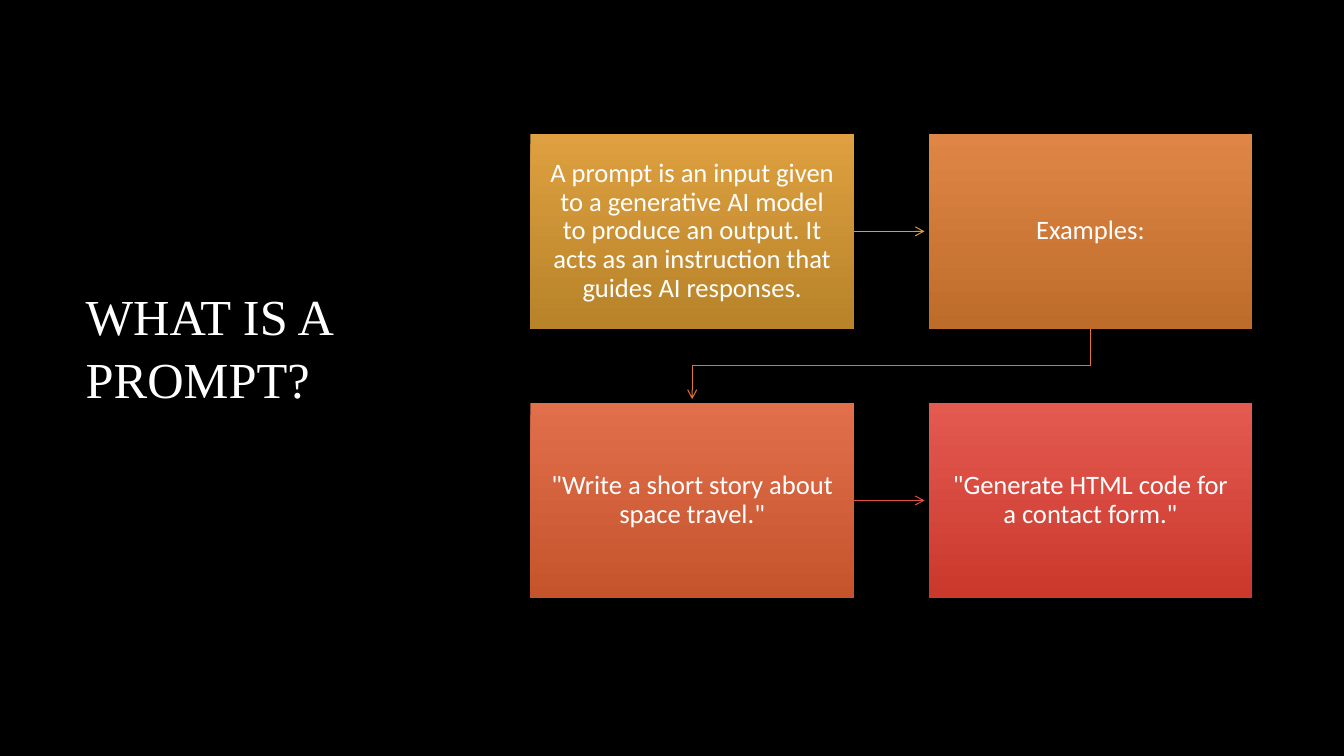
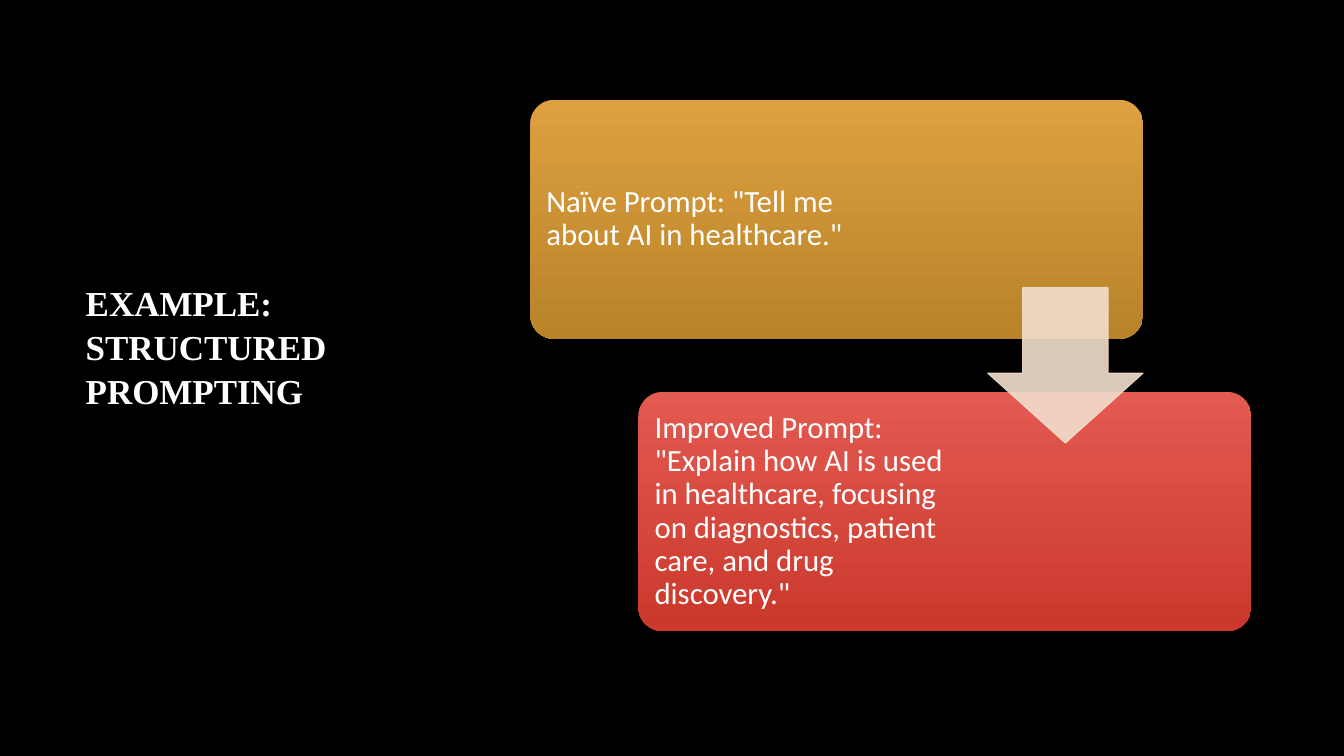
from dataclasses import dataclass

from lxml import etree
from pptx import Presentation
from pptx.dml.color import RGBColor
from pptx.enum.shapes import MSO_CONNECTOR as Connector, MSO_SHAPE as Preset
from pptx.enum.text import MSO_ANCHOR as Anchor, MSO_AUTO_SIZE as AutoSize, PP_ALIGN as Align
from pptx.oxml.ns import qn
from pptx.util import Inches, Pt

BLACK = RGBColor(0x00, 0x00, 0x00)
WHITE = RGBColor(0xFF, 0xFF, 0xFF)
SAND = RGBColor(0xF2, 0xDF, 0xCE)
GOLD = (RGBColor(0xDE, 0xA0, 0x40), RGBColor(0xB8, 0x83, 0x29))
ORANGE = (RGBColor(0xDF, 0x86, 0x46), RGBColor(0xBE, 0x6C, 0x2A))
RUST = (RGBColor(0xE1, 0x6F, 0x4B), RGBColor(0xC5, 0x53, 0x2B))
RED = (RGBColor(0xE3, 0x5A, 0x51), RGBColor(0xCB, 0x38, 0x2C))
GOLD_LINE = RGBColor(0xDD, 0x9D, 0x31)
ORANGE_LINE = RGBColor(0xE0, 0x75, 0x3C)
RED_LINE = RGBColor(0xE2, 0x52, 0x47)

TITLE_FONT, BODY_FONT = "Times New Roman", "Calibri"
TITLE_ONLY = 5
LINE_WIDTH = Pt(0.75)
ARROW_CLEARANCE = 0.04


@dataclass
class Box:
    """A region in inches."""
    left: float
    top: float
    width: float
    height: float

    @property
    def right(self):
        return self.left + self.width

    @property
    def bottom(self):
        return self.top + self.height

    @property
    def center(self):
        return self.left + self.width / 2

    @property
    def middle(self):
        return self.top + self.height / 2

    def emu(self):
        return [Inches(v) for v in (self.left, self.top, self.width, self.height)]

    def cell(self, column, row, gap, count=2):
        width = (self.width - gap * (count - 1)) / count
        height = (self.height - gap * (count - 1)) / count
        return Box(self.left + column * (width + gap),
                   self.top + row * (height + gap), width, height)


TITLE_BOX = Box(0.75, 0.7, 2.83, 5.46)
FLOW_BOX = Box(5.26, 1.33, 7.16, 4.6)
STAIR_BOX = Box(5.26, 0.99, 7.15, 5.27)


def write(frame, text, font, size, align, spacing, bold=False):
    frame.word_wrap = True
    frame.vertical_anchor = Anchor.MIDDLE
    para = frame.paragraphs[0]
    para.alignment = align
    para.line_spacing = spacing
    span = para.add_run()
    span.text = text
    span.font.name = font
    span.font.size = Pt(size)
    span.font.bold = bold
    span.font.color.rgb = WHITE


def add_page(deck, title, size, bold=False):
    page = deck.slides.add_slide(deck.slide_layouts[TITLE_ONLY])
    holder = page.shapes.title
    holder.left, holder.top, holder.width, holder.height = TITLE_BOX.emu()
    holder.text_frame.auto_size = AutoSize.NONE
    write(holder.text_frame, title, TITLE_FONT, size, Align.LEFT, 1.04, bold)
    return page


def add_card(page, preset, box, colors, text, size, align, insets):
    """Gradient card; insets are left, top, right and bottom in inches."""
    card = page.shapes.add_shape(preset, *box.emu())
    card.shadow.inherit = False
    card.line.fill.background()
    card.fill.gradient()
    card.fill.gradient_angle = 270
    for stop, color in zip(card.fill.gradient_stops, colors):
        stop.color.rgb = color
    frame = card.text_frame
    (frame.margin_left, frame.margin_top,
     frame.margin_right, frame.margin_bottom) = [Inches(v) for v in insets]
    write(frame, text, BODY_FONT, size, align, 0.9)
    return card


def style_arrow(arrow, color):
    arrow.line.color.rgb = color
    arrow.line.width = LINE_WIDTH
    outline = arrow.line._get_or_add_ln()
    etree.SubElement(outline, qn("a:tailEnd"), type="arrow")


def link_across(page, start, end, color):
    arrow = page.shapes.add_connector(
        Connector.STRAIGHT, Inches(start.right), Inches(start.middle),
        Inches(end.left - ARROW_CLEARANCE), Inches(end.middle))
    style_arrow(arrow, color)
    etree.SubElement(arrow._element.spPr, qn("a:effectLst"))


def link_down(page, start, end, color):
    """Bent arrow from the foot of one card to the head of another."""
    bend = (start.bottom + end.top) / 2
    outline = page.shapes.build_freeform(
        Inches(start.center), Inches(start.bottom))
    corners = [(start.center, bend), (end.center, bend),
               (end.center, end.top - ARROW_CLEARANCE)]
    outline.add_line_segments(
        [(Inches(x), Inches(y)) for x, y in corners], close=False)
    arrow = outline.convert_to_shape()
    arrow.shadow.inherit = False
    arrow.fill.background()
    style_arrow(arrow, color)


def set_opacity(fill, percent):
    color = fill._xPr.find(qn("a:solidFill"))[0]
    etree.SubElement(color, qn("a:alpha"), val=str(percent * 1000))


def add_flow(page, box, steps):
    """Four cards in a two by two grid, linked in reading order."""
    cells = [box.cell(i % 2, i // 2, gap=0.74) for i in range(len(steps))]
    for cell, (colors, text) in zip(cells, steps):
        add_card(page, Preset.RECTANGLE, cell, colors, text, 19,
                 Align.CENTER, (0.16, 0.17, 0.16, 0.17))
    first, second, third, fourth = cells
    link_across(page, first, second, GOLD_LINE)
    link_down(page, second, third, ORANGE_LINE)
    link_across(page, third, fourth, RED_LINE)


def add_stair(page, box, steps):
    """Two cards, the second lower and to the right, with an arrow between."""
    width, height = box.width * 0.85, box.height * 0.45
    upper = Box(box.left, box.top, width, height)
    lower = Box(box.right - width, box.bottom - height, width, height)
    for place, (colors, text, right_inset) in zip((upper, lower), steps):
        card = add_card(page, Preset.ROUNDED_RECTANGLE, place, colors, text, 22,
                        Align.LEFT, (0.09, 0.09, right_inset, 0.09))
        card.adjustments[0] = 0.1

    side = height * 0.65
    arrow_box = Box(upper.right - side, box.middle - side / 2, side, side)
    arrow = page.shapes.add_shape(Preset.DOWN_ARROW, *arrow_box.emu())
    arrow.adjustments[0], arrow.adjustments[1] = 0.55, 0.45
    arrow.shadow.inherit = False
    arrow.line.width = LINE_WIDTH
    for fill in (arrow.fill, arrow.line.fill):
        fill.solid()
        fill.fore_color.rgb = SAND
        set_opacity(fill, 90)


def main():
    deck = Presentation()
    deck.slide_width, deck.slide_height = Inches(13.33), Inches(7.5)
    backdrop = deck.slide_master.background.fill
    backdrop.solid()
    backdrop.fore_color.rgb = BLACK

    page = add_page(deck, "WHAT IS A PROMPT?", 36)
    add_flow(page, FLOW_BOX, [
        (GOLD, "A prompt is an input given to a generative AI model to produce "
               "an output. It acts as an instruction that guides AI responses."),
        (ORANGE, "Examples:"),
        (RUST, '"Write a short story about space travel."'),
        (RED, '"Generate HTML code for a contact form."'),
    ])

    page = add_page(deck, "EXAMPLE: STRUCTURED PROMPTING", 25, bold=True)
    add_stair(page, STAIR_BOX, [
        (GOLD, 'Naïve Prompt: "Tell me about AI in healthcare."', 2.4),
        (RED, 'Improved Prompt: "Explain how AI is used in healthcare, focusing '
              'on diagnostics, patient care, and drug discovery."', 2.7),
    ])
    deck.save("out.pptx")


if __name__ == "__main__":
    main()
